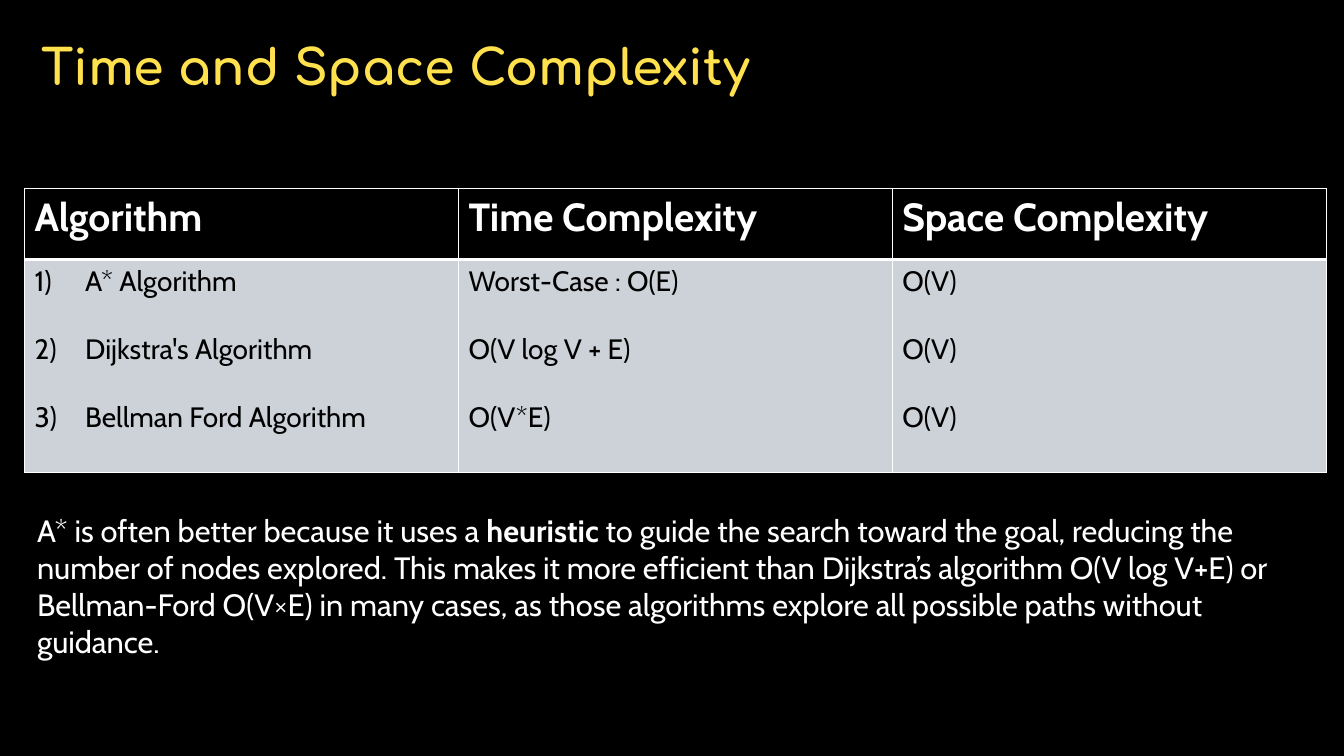
from lxml import etree
from pptx import Presentation
from pptx.dml.color import RGBColor
from pptx.enum.text import MSO_ANCHOR, MSO_AUTO_SIZE, PP_ALIGN
from pptx.oxml.ns import qn
from pptx.util import Pt

TOP = MSO_ANCHOR.TOP
LEFT = PP_ALIGN.LEFT
FIXED = MSO_AUTO_SIZE.NONE
BLACK, WHITE, YELLOW, GRAY = "000000", "FFFFFF", "FFE14D", "CCD2D8"

HEADS = ["Algorithm", "Time Complexity", "Space Complexity"]
COLUMNS = [
    ["A* Algorithm", "Dijkstra's Algorithm", "Bellman Ford Algorithm"],
    ["Worst-Case : O(E)", "O(V log V + E)", "O(V*E)"],
    ["O(V)", "O(V)", "O(V)"],
]
NOTE = [
    ("A* is often better because it uses a ", False),
    ("heuristic", True),
    (" to guide the search toward the goal, reducing the number of nodes "
     "explored. This makes it more efficient than Dijkstra’s algorithm "
     "O(V log V+E) or Bellman-Ford O(V×E)\u00a0in many cases, as those algorithms "
     "explore all possible paths without guidance.", False),
]


def color(code):
    return RGBColor.from_string(code)


def style(run, size, code, bold=False, face="Cabin"):
    font = run.font
    font.name, font.size, font.bold = face, Pt(size), bold
    font.color.rgb = color(code)


def place(shape, left, top, width, height):
    shape.left, shape.top = Pt(left), Pt(top)
    shape.width, shape.height = Pt(width), Pt(height)


def add_title(slide, text):
    title = slide.shapes.title
    place(title, 29.5, 23.8, 609, 88)
    frame = title.text_frame
    frame.text = text
    frame.auto_size, frame.vertical_anchor = FIXED, TOP
    frame.margin_left = frame.margin_right = 0
    frame.margin_top = frame.margin_bottom = 0
    para = frame.paragraphs[0]
    para.alignment, para.line_spacing = LEFT, Pt(44)
    style(para.runs[0], 35, YELLOW, True, "Comfortaa")


def add_edges(cell, widths):
    props = cell._tc.get_or_add_tcPr()
    for side, width in zip("LRTB", widths):
        line = etree.SubElement(props, qn(f"a:ln{side}"), w=str(Pt(width)))
        fill = etree.SubElement(line, qn("a:solidFill"))
        etree.SubElement(fill, qn("a:srgbClr"), val=WHITE)


def fill_cell(cell, lines, size, code, back, bold, edges):
    add_edges(cell, edges)
    cell.fill.solid()
    cell.fill.fore_color.rgb = color(back)
    frame = cell.text_frame
    frame.text = "\n".join(lines)
    for para in frame.paragraphs:
        style(para.runs[0], size, code, bold)
    for para in frame.paragraphs[:-1]:
        para.space_after = Pt(24.3)


def number(para):
    props = para._p.get_or_add_pPr()
    props.set("marL", str(Pt(36)))
    props.set("indent", str(Pt(-36)))
    etree.SubElement(props, qn("a:buFont"), typeface="+mj-lt")
    etree.SubElement(props, qn("a:buAutoNum"), type="arabicParenR")


def add_grid(slide):
    table = slide.shapes.add_table(
        2, 3, Pt(17.6), Pt(134.6), Pt(929.7), Pt(203)).table
    table.rows[0].height, table.rows[1].height = Pt(50.8), Pt(152.2)
    for col, (head, lines) in enumerate(zip(HEADS, COLUMNS)):
        table.columns[col].width = Pt(309.9)
        fill_cell(table.cell(0, col), [head], 28, WHITE, BLACK, True, (1, 1, 1, 3))
        fill_cell(table.cell(1, col), lines, 20, BLACK, GRAY, False, (1, 1, 3, 1))
    for para in table.cell(1, 0).text_frame.paragraphs:
        number(para)


def add_note(slide, parts):
    box = slide.shapes.add_textbox(Pt(19.4), Pt(362.2), Pt(926.6), Pt(113.8))
    frame = box.text_frame
    frame.word_wrap = True
    for text, bold in parts:
        run = frame.paragraphs[0].add_run()
        run.text = text
        style(run, 22, WHITE, bold)


def main():
    deck = Presentation()
    deck.slide_width, deck.slide_height = Pt(960), Pt(540)
    slide = deck.slides.add_slide(deck.slide_layouts[5])
    back = slide.background.fill
    back.solid()
    back.fore_color.rgb = color(BLACK)
    add_title(slide, "Time and Space Complexity")
    add_grid(slide)
    add_note(slide, NOTE)
    deck.save("out.pptx")


if __name__ == "__main__":
    main()
